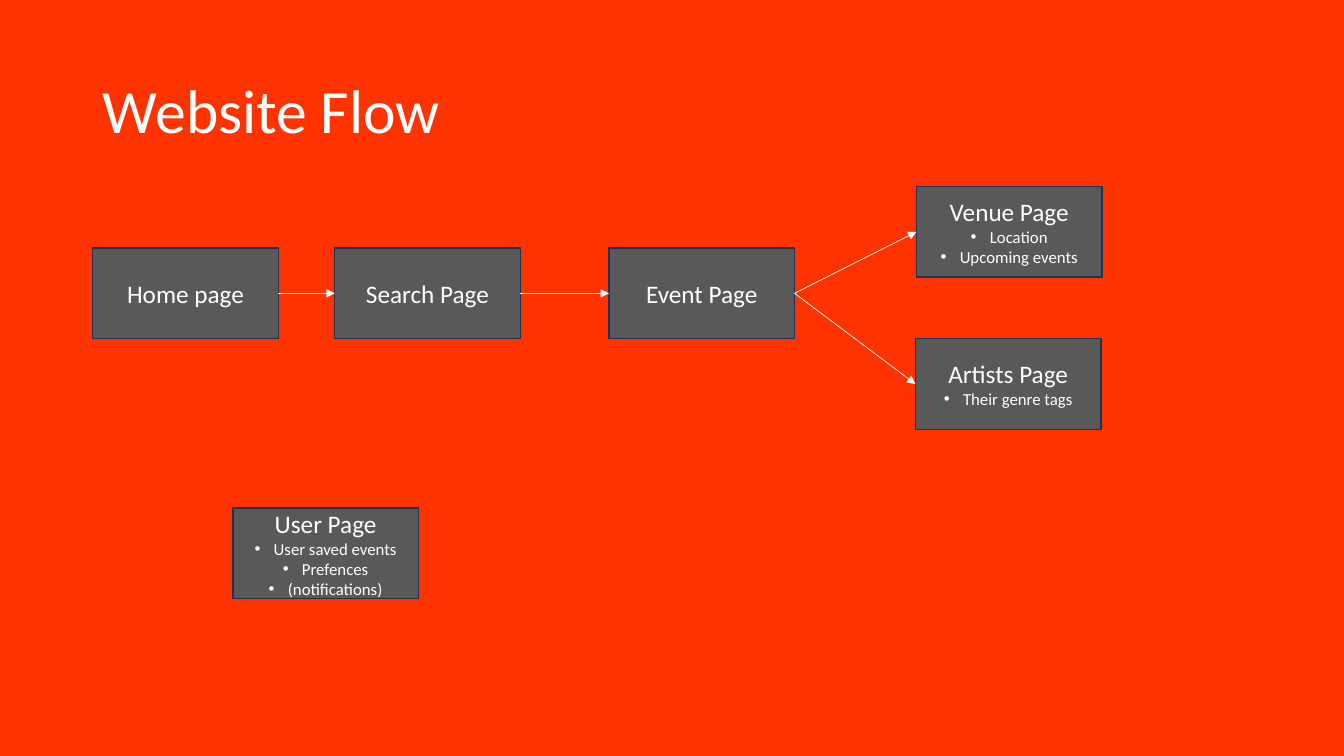
from dataclasses import dataclass

from lxml import etree
from pptx import Presentation
from pptx.dml.color import RGBColor
from pptx.enum import shapes, text
from pptx.oxml import ns
from pptx.util import Inches, Pt

FONT = "Calibri"
WHITE, ORANGE, GREY, NAVY = "FFFFFF", "FF3300", "595959", "1E3256"
PAGE_WIDTH, PAGE_HEIGHT = Inches(1.84), Inches(0.9)
BULLET_INDENT = Inches(0.19)
LEFT_SITE, RIGHT_SITE = 1, 3


@dataclass
class Page:
    name: str
    left: float
    top: float
    details: tuple[str, ...] = ()


MAIN_ROW = 2.46
PAGES = [
    Page("Home page", 0.92, MAIN_ROW),
    Page("Search Page", 3.32, MAIN_ROW),
    Page("User Page", 2.31, 5.04, ("User saved events", "Prefences", "(notifications)")),
    Page("Venue Page", 9.09, 1.85, ("Location", "Upcoming events")),
    Page("Artists Page", 9.08, 3.36, ("Their genre tags",)),
    Page("Event Page", 6.04, MAIN_ROW),
]
FLOW = [
    ("Home page", "Search Page"),
    ("Search Page", "Event Page"),
    ("Event Page", "Venue Page"),
    ("Event Page", "Artists Page"),
]


def color(value: str) -> RGBColor:
    return RGBColor.from_string(value)


def format_runs(paragraph, size: float) -> None:
    for run in paragraph.runs:
        run.font.name = FONT
        run.font.size = Pt(size)
        run.font.color.rgb = color(WHITE)


def add_bullet(paragraph) -> None:
    properties = paragraph._p.get_or_add_pPr()
    properties.set("marL", str(BULLET_INDENT))
    properties.set("indent", str(-BULLET_INDENT))
    etree.SubElement(properties, ns.qn("a:buFont")).set("typeface", "Arial")
    etree.SubElement(properties, ns.qn("a:buChar")).set("char", "•")


def draw_page(slide, page: Page):
    box = slide.shapes.add_shape(
        shapes.MSO_SHAPE.RECTANGLE, Inches(page.left), Inches(page.top), PAGE_WIDTH, PAGE_HEIGHT
    )
    box.shadow.inherit = False
    box.fill.solid()
    box.fill.fore_color.rgb = color(GREY)
    box.line.color.rgb = color(NAVY)
    box.line.width = Pt(1)
    frame = box.text_frame
    frame.word_wrap = True
    frame.vertical_anchor = text.MSO_ANCHOR.MIDDLE
    frame.text = "\n".join((page.name, *page.details))
    for index, paragraph in enumerate(frame.paragraphs):
        paragraph.alignment = text.PP_ALIGN.CENTER
        format_runs(paragraph, 12 if index else 18)
        if index:
            add_bullet(paragraph)
    return box


def draw_arrow(slide, source, target) -> None:
    arrow = slide.shapes.add_connector(shapes.MSO_CONNECTOR.STRAIGHT, 0, 0, 0, 0)
    arrow.begin_connect(source, RIGHT_SITE)
    arrow.end_connect(target, LEFT_SITE)
    arrow.line.color.rgb = color(WHITE)
    arrow.line.width = Pt(0.5)
    etree.SubElement(arrow.line._get_or_add_ln(), ns.qn("a:tailEnd")).set("type", "triangle")
    etree.SubElement(arrow._element.spPr, ns.qn("a:effectLst"))


# Slide and background
presentation = Presentation()
presentation.slide_width, presentation.slide_height = Inches(13.33), Inches(7.5)
slide = presentation.slides.add_slide(presentation.slide_layouts[5])
slide.background.fill.solid()
slide.background.fill.fore_color.rgb = color(ORANGE)

# Title
title = slide.shapes.title
title.left, title.top = Inches(0.92), Inches(0.4)
title.width, title.height = Inches(11.5), Inches(1.45)
title.text_frame.text = "Website Flow"
title.text_frame.auto_size = text.MSO_AUTO_SIZE.NONE
title.text_frame.vertical_anchor = text.MSO_ANCHOR.MIDDLE
heading = title.text_frame.paragraphs[0]
heading.alignment = text.PP_ALIGN.LEFT
heading.line_spacing = 0.9
format_runs(heading, 44)

# Pages and the arrows between them
boxes = {page.name: draw_page(slide, page) for page in PAGES}
for source, target in FLOW:
    draw_arrow(slide, boxes[source], boxes[target])

presentation.save("out.pptx")
